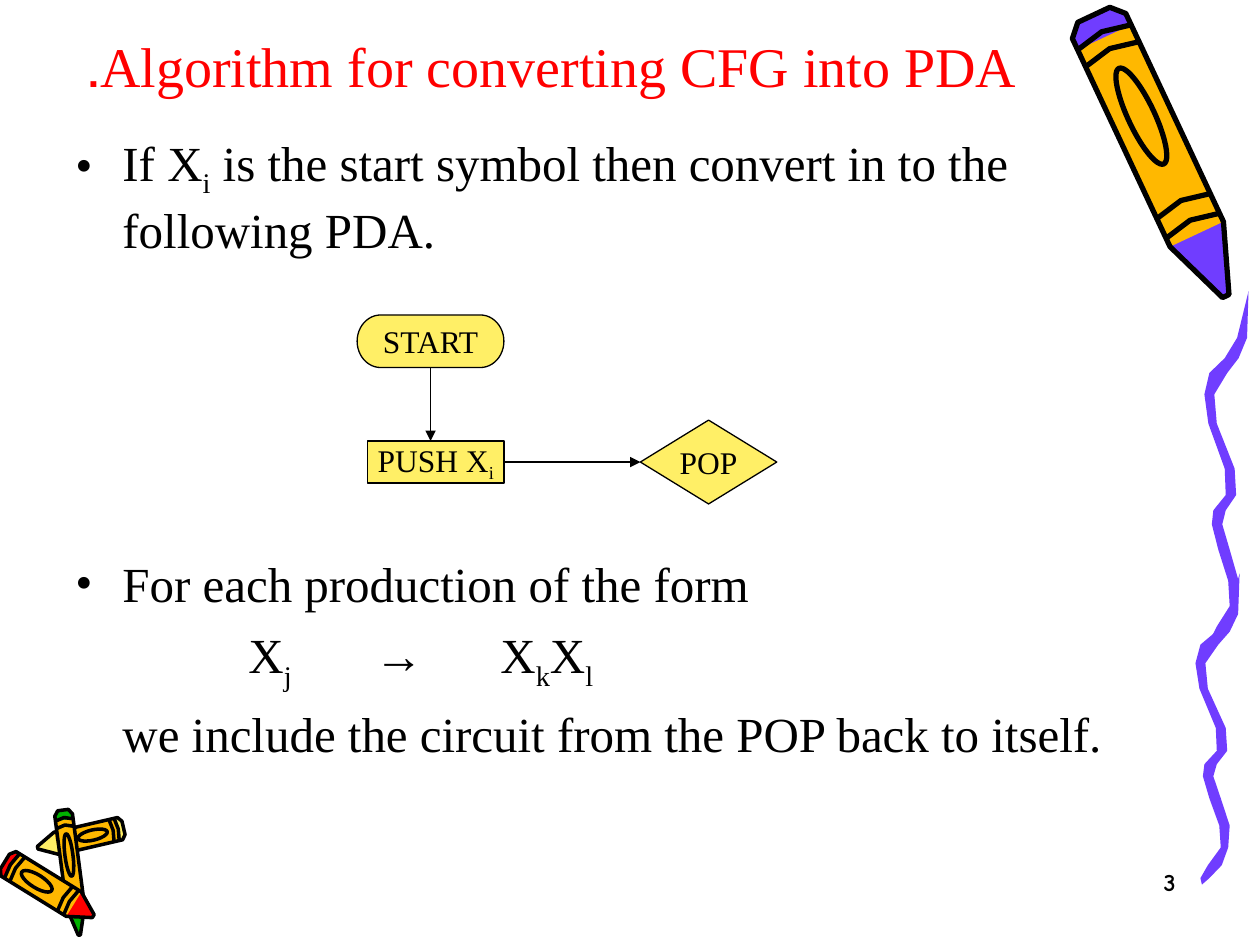
import math
from lxml import etree
from pptx import Presentation
from pptx import util as u
from pptx.dml.color import RGBColor
from pptx.enum import shapes, text
from pptx.oxml.ns import qn

BLACK, RED, YELLOW, ORANGE, PURPLE, GREEN = (
    "000000", "FF0000", "FFEF66", "FFB800", "703DFF", "00B200")
SERIF = "Times New Roman"
INDENT = u.Cm(0.95)
TAB_STEP = u.Cm(2.54)

# Crayon parts are (along, across): 0 to 1 from tail to tip, -0.5 to 0.5 over the width.
WAX = [(0.04, -0.5), (0, -0.3), (0, 0.3), (0.04, 0.5), (0.78, 0.5),
       (0.88, 0.3), (1, 0.06), (1, -0.06), (0.88, -0.3), (0.78, -0.5)]
SLEEVE_ENDS = (0.08, 0.78)
BANDS = (0.08, 0.14, 0.68, 0.75)
BAND_DEPTH = 0.02
OVAL_CENTRE, OVAL_LENGTH, OVAL_WIDTH = 0.36, 0.34, 0.45

CRAYONS = [
    {"tail": (22.05, 0.3), "tip": (24.71, 5.97), "width": 1.19, "wax": PURPLE, "pen": 3},
    {"tail": (2.49, 16.69), "tip": (0.76, 17.09), "width": 0.46, "wax": YELLOW, "pen": 2},
    {"tail": (1.27, 16.33), "tip": (1.6, 18.85), "width": 0.36, "wax": GREEN, "pen": 2},
    {"tail": (0.1, 17.37), "tip": (1.88, 18.47), "width": 0.58, "wax": RED, "pen": 2},
]

# Each row of the squiggle is (down, left edge, right edge) in centimetres.
SQUIGGLE = [
    (0, 0.89, 0.89), (0.94, 0.66, 0.86), (1.35, 0.41, 0.69), (1.65, 0.1, 0.46),
    (2.08, 0, 0.2), (2.67, 0.08, 0.25), (3.58, 0.41, 0.61), (4.11, 0.43, 0.64),
    (4.42, 0.18, 0.43), (4.7, 0.15, 0.36), (5.21, 0.28, 0.51), (5.84, 0.48, 0.69),
    (6.35, 0.51, 0.66), (6.76, 0.25, 0.53), (7.06, 0.1, 0.28), (7.21, 0.13, 0.13),
]


def colour(code):
    return RGBColor.from_string(code)


def paint(shape, fill=None, line=None, width=0.75):
    shape.shadow.inherit = False
    if fill:
        shape.fill.solid()
        shape.fill.fore_color.rgb = colour(fill)
    else:
        shape.fill.background()
    if line:
        shape.line.color.rgb = colour(line)
        shape.line.width = u.Pt(width)
    else:
        shape.line.fill.background()


def add_outline(slide, points, close=True, **style):
    first, *others = [(u.Cm(x), u.Cm(y)) for x, y in points]
    builder = slide.shapes.build_freeform(*first)
    builder.add_line_segments(others, close=close)
    paint(builder.convert_to_shape(), **style)


def add_crayon(slide, tail, tip, width, wax, pen):
    run, drop = tip[0] - tail[0], tip[1] - tail[1]
    length = math.hypot(run, drop)

    def place(along, across):
        side = across * width / length
        return tail[0] + along * run - side * drop, tail[1] + along * drop + side * run

    def place_all(parts):
        return [place(*part) for part in parts]

    near, far = SLEEVE_ENDS
    sleeve = [(near, -0.5), (near, 0.5), (far, 0.5), (far, -0.5)]
    add_outline(slide, place_all(WAX), fill=wax)
    add_outline(slide, place_all(sleeve), fill=ORANGE)
    for band in BANDS:
        curve = [(band, -0.5), (band - BAND_DEPTH, 0), (band, 0.5)]
        add_outline(slide, place_all(curve), close=False, line=BLACK, width=pen)
    add_outline(slide, place_all(WAX), line=BLACK, width=pen)

    x, y = place(OVAL_CENTRE, 0)
    long, short = OVAL_LENGTH * length, OVAL_WIDTH * width
    oval = slide.shapes.add_shape(
        shapes.MSO_SHAPE.OVAL, u.Cm(x - long / 2), u.Cm(y - short / 2), u.Cm(long), u.Cm(short))
    oval.rotation = math.degrees(math.atan2(drop, run))
    paint(oval, line=BLACK, width=pen)


def add_squiggle(slide, left, top, stretch):
    left_edge = [(left + near, top + down * stretch) for down, near, far in SQUIGGLE]
    right_edge = [(left + far, top + down * stretch) for down, near, far in SQUIGGLE]
    add_outline(slide, left_edge + right_edge[::-1], fill=PURPLE)


def add_span(para, words, size, code=BLACK, font=SERIF, bold=False, lowered=False):
    span = para.add_run()
    span.text = words
    span.font.size = u.Pt(size)
    span.font.name = font
    span.font.bold = bold
    span.font.color.rgb = colour(code)
    if lowered:
        span.font._element.set("baseline", "-25000")


def add_box(slide, left, top, width, height):
    box = slide.shapes.add_textbox(u.Cm(left), u.Cm(top), u.Cm(width), u.Cm(height))
    box.text_frame.word_wrap = True
    return box.text_frame


def format_para(para, before, bullet):
    para.space_before = u.Pt(before)
    props = para._p.get_or_add_pPr()
    props.set("marL", str(INDENT))
    props.set("indent", str(-INDENT if bullet else 0))
    props.set("defTabSz", str(TAB_STEP))
    if bullet:
        etree.SubElement(props, qn("a:buFont"), typeface=SERIF)
        etree.SubElement(props, qn("a:buChar"), char="•")
    else:
        etree.SubElement(props, qn("a:buNone"))


def add_title(slide):
    frame = add_box(slide, 1.49, 0.41, 19.89, 1.7)
    frame.vertical_anchor = text.MSO_ANCHOR.BOTTOM
    para = frame.paragraphs[0]
    para.alignment = text.PP_ALIGN.LEFT
    para._p.get_or_add_pPr().set("rtl", "1")
    add_span(para, "Algorithm for converting CFG into PDA.", 32, RED)


def add_body(slide):
    frame = add_box(slide, 1.27, 2.54, 21.39, 14.6)
    lowered = {"lowered": True}
    flowchart_gap, line_gap = 169, 7
    content = [
        (line_gap, True, [("If X", {}), ("i", lowered),
                          (" is the start symbol then convert in to the following PDA.", {})]),
        (flowchart_gap, True, [("For each production of the form", {})]),
        (line_gap, False, [("\tX", {}), ("j \t", lowered), ("→\t", {"font": "Arial"}),
                           ("X", {}), ("k", lowered), ("X", {}), ("l", lowered)]),
        (line_gap, False, [("we include the circuit from the POP back to itself.", {})]),
    ]
    for index, (before, bullet, spans) in enumerate(content):
        para = frame.add_paragraph() if index else frame.paragraphs[0]
        format_para(para, before, bullet)
        for words, style in spans:
            add_span(para, words, 28, **style)


def add_page_number(slide):
    para = add_box(slide, 18.67, 17.35, 5.28, 1.27).paragraphs[0]
    para.alignment = text.PP_ALIGN.RIGHT
    add_span(para, "3", 14, font="Comic Neue", bold=True)


def add_step(slide, kind, left, top, width, height, words, index=""):
    step = slide.shapes.add_shape(kind, u.Cm(left), u.Cm(top), u.Cm(width), u.Cm(height))
    paint(step, YELLOW, BLACK)
    step.text_frame.word_wrap = False
    step.text_frame.vertical_anchor = text.MSO_ANCHOR.MIDDLE
    para = step.text_frame.paragraphs[0]
    para.alignment = text.PP_ALIGN.CENTER
    add_span(para, words, 18)
    if index:
        add_span(para, index, 18, lowered=True)
    return step


def add_arrow(slide, start, end):
    ends = [u.Cm(value) for value in (*start, *end)]
    arrow = slide.shapes.add_connector(shapes.MSO_CONNECTOR.STRAIGHT, *ends)
    arrow.line.color.rgb = colour(BLACK)
    arrow.line.width = u.Pt(0.75)
    etree.SubElement(arrow.line._get_or_add_ln(), qn("a:tailEnd"), type="triangle")
    etree.SubElement(arrow._element.spPr, qn("a:effectLst"))
    return arrow


def add_flowchart(slide):
    kinds = shapes.MSO_SHAPE
    start = add_step(slide, kinds.FLOWCHART_TERMINATOR, 7.2, 6.35, 2.96, 1.06, "START")
    push = add_step(slide, kinds.FLOWCHART_PROCESS, 7.41, 8.89, 2.75, 0.85, "PUSH X", "i")
    pop = add_step(slide, kinds.FLOWCHART_DECISION, 12.91, 8.47, 2.75, 1.69, "POP")
    add_arrow(slide, (8.68, 7.41), (8.68, 8.89)).begin_connect(start, 2)
    across = add_arrow(slide, (10.16, 9.31), (12.91, 9.31))
    across.begin_connect(push, 3)
    across.end_connect(pop, 1)


def main():
    deck = Presentation()
    deck.slide_width, deck.slide_height = u.Cm(25.4), u.Cm(19.05)
    page = deck.slides.add_slide(deck.slide_layouts[6])
    for crayon in CRAYONS:
        add_crayon(page, **crayon)
    add_squiggle(page, 24.1, 11.56, 0.87)
    add_squiggle(page, 24.28, 5.87, 1)
    add_page_number(page)
    add_title(page)
    add_body(page)
    add_flowchart(page)
    deck.save("out.pptx")


if __name__ == "__main__":
    main()
